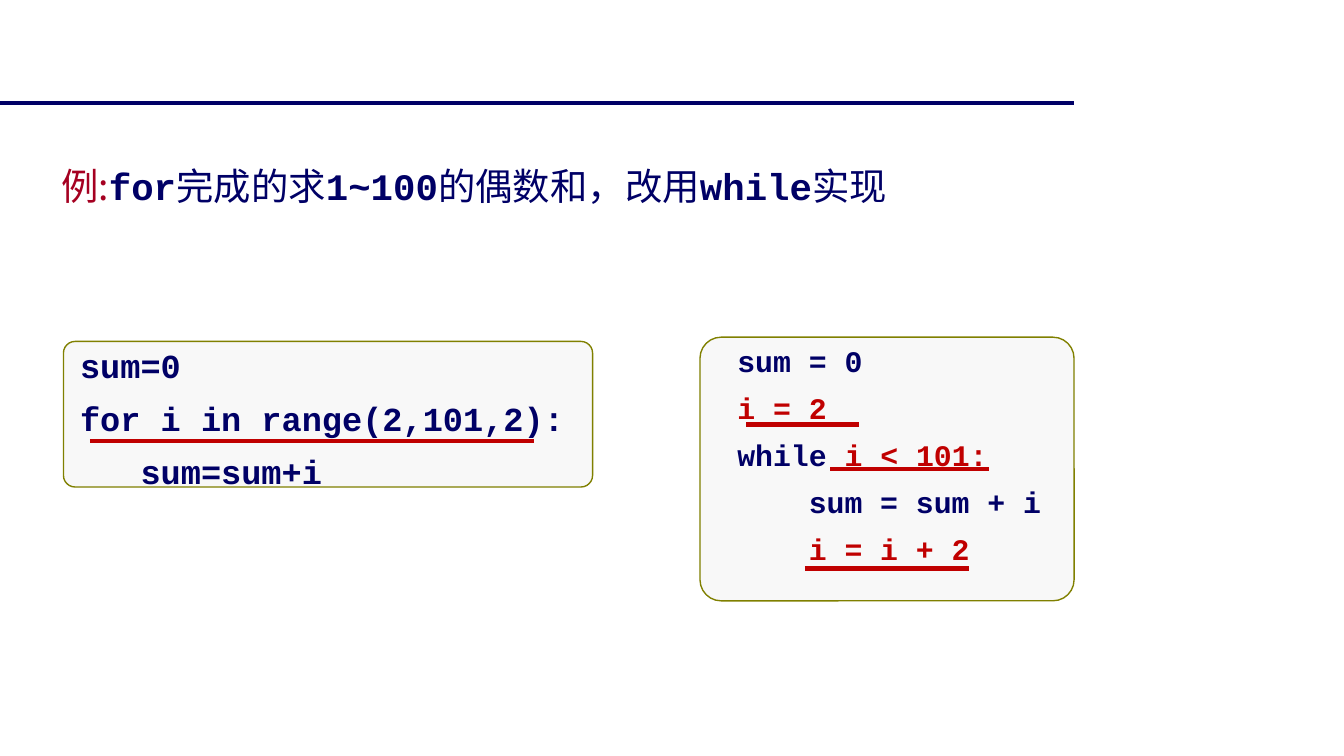
from dataclasses import dataclass

from lxml import etree
from pptx import Presentation
from pptx.dml.color import RGBColor
from pptx.enum.shapes import MSO_CONNECTOR, MSO_SHAPE
from pptx.enum.text import MSO_ANCHOR, MSO_AUTO_SIZE, PP_ALIGN
from pptx.oxml.ns import qn
from pptx.util import Cm, Pt

STRAIGHT = MSO_CONNECTOR.STRAIGHT
ROUNDED = MSO_SHAPE.ROUNDED_RECTANGLE
TOP, MIDDLE = MSO_ANCHOR.TOP, MSO_ANCHOR.MIDDLE
LEFT = PP_ALIGN.LEFT
FIT_SHAPE = MSO_AUTO_SIZE.SHAPE_TO_FIT_TEXT
TITLE_ONLY = 5


@dataclass(frozen=True)
class Theme:
    """Colours, fonts and type sizes of the slide."""
    navy: str = "000066"
    crimson: str = "A50021"
    red: str = "C00000"
    olive: str = "808000"
    panel: str = "F8F8F8"
    code_font: str = "Courier New"
    text_font: str = "Noto Sans CJK SC"
    title_size: float = 20
    for_size: float = 18
    while_size: float = 16
    line_spacing: float = 1.2


THEME = Theme()


def add_span(para, text, size, color=THEME.navy, font=THEME.code_font, bold=True):
    """Append formatted text to a paragraph."""
    span = para.add_run()
    span.text = text
    span.font.size = Pt(size)
    span.font.bold = bold
    span.font.color.rgb = RGBColor.from_string(color)
    span.font.name = font
    east_asian = etree.SubElement(span._r.get_or_add_rPr(), qn("a:ea"))
    east_asian.set("typeface", THEME.text_font)


def add_rule(page, left, top, width, color=THEME.red, weight=2.25):
    """Draw a horizontal line."""
    rule = page.shapes.add_connector(
        STRAIGHT, Cm(left), Cm(top), Cm(left + width), Cm(top))
    rule.line.color.rgb = RGBColor.from_string(color)
    rule.line.width = Pt(weight)
    etree.SubElement(rule._element.spPr, qn("a:effectLst"))


def place_title(page, left, top, width, height):
    """Place the heading that mixes Chinese text with code words."""
    title = page.shapes.title
    title.left, title.top = Cm(left), Cm(top)
    title.width, title.height = Cm(width), Cm(height)
    frame = title.text_frame
    frame.word_wrap = True
    frame.auto_size = FIT_SHAPE
    frame.vertical_anchor = TOP
    para = frame.paragraphs[0]
    para.alignment = LEFT
    para.line_spacing = THEME.line_spacing
    para.space_before = Pt(0)
    prose = {"font": THEME.text_font, "bold": False}
    size = THEME.title_size
    add_span(para, "例:", size, color=THEME.crimson, **prose)
    for code, text in (("for", "完成的求"), ("1~100", "的偶数和，改用"),
                       ("while", "实现")):
        add_span(para, code, size)
        add_span(para, text, size, **prose)


def place_code(page, left, top, width, height, lines, size, underlines,
               left_inset=0.25, bottom_inset=0.13):
    """Place a code panel and its underlines, given as offsets and widths."""
    box = page.shapes.add_shape(ROUNDED, Cm(left), Cm(top), Cm(width), Cm(height))
    box.adjustments[0] = 0.08
    box.shadow.inherit = False
    box.fill.solid()
    box.fill.fore_color.rgb = RGBColor.from_string(THEME.panel)
    box.line.color.rgb = RGBColor.from_string(THEME.olive)
    box.line.width = Pt(0.75)
    frame = box.text_frame
    frame.word_wrap = False
    frame.vertical_anchor = MIDDLE
    frame.margin_left, frame.margin_bottom = Cm(left_inset), Cm(bottom_inset)
    for index, spans in enumerate(lines):
        para = frame.add_paragraph() if index else frame.paragraphs[0]
        para.alignment = LEFT
        para.line_spacing = THEME.line_spacing
        para.space_before = Pt(size * 0.13 if index else 0)
        for text, color in spans:
            add_span(para, text, size, color=color)
    for across, down, length in underlines:
        add_rule(page, left + across, top + down, length)


def build_page(deck):
    """Lay out the comparison of the two loops."""
    page = deck.slides.add_slide(deck.slide_layouts[TITLE_ONLY])
    add_rule(page, 0, 1.95, 20.3, color=THEME.navy, weight=2)
    place_title(page, 0.9, 2.78, 24.1, 1.12)
    navy, red = THEME.navy, THEME.red
    for_lines = [
        [("sum=0", navy)],
        [("for i in range(2,101,2):", navy)],
        [("   sum=sum+i", navy)],
    ]
    while_lines = [
        [("sum = 0", navy)],
        [("i = 2", red)],
        [("while ", navy), ("i < 101:", red)],
        [("    sum = sum + i", navy)],
        [("    i = i + 2", red)],
    ]
    place_code(page, 1.2, 6.45, 10, 2.75, for_lines, THEME.for_size,
               [(0.5, 1.88, 8.4)])
    place_code(page, 13.23, 6.37, 7.07, 4.98, while_lines, THEME.while_size,
               [(0.87, 1.65, 2.13), (2.46, 2.49, 3), (1.98, 4.37, 3.1)],
               left_inset=0.59, bottom_inset=0.8)


def main():
    """Build and save the deck."""
    deck = Presentation()
    deck.slide_width, deck.slide_height = Cm(25.4), Cm(14.28)
    build_page(deck)
    deck.save("out.pptx")


if __name__ == "__main__":
    main()
